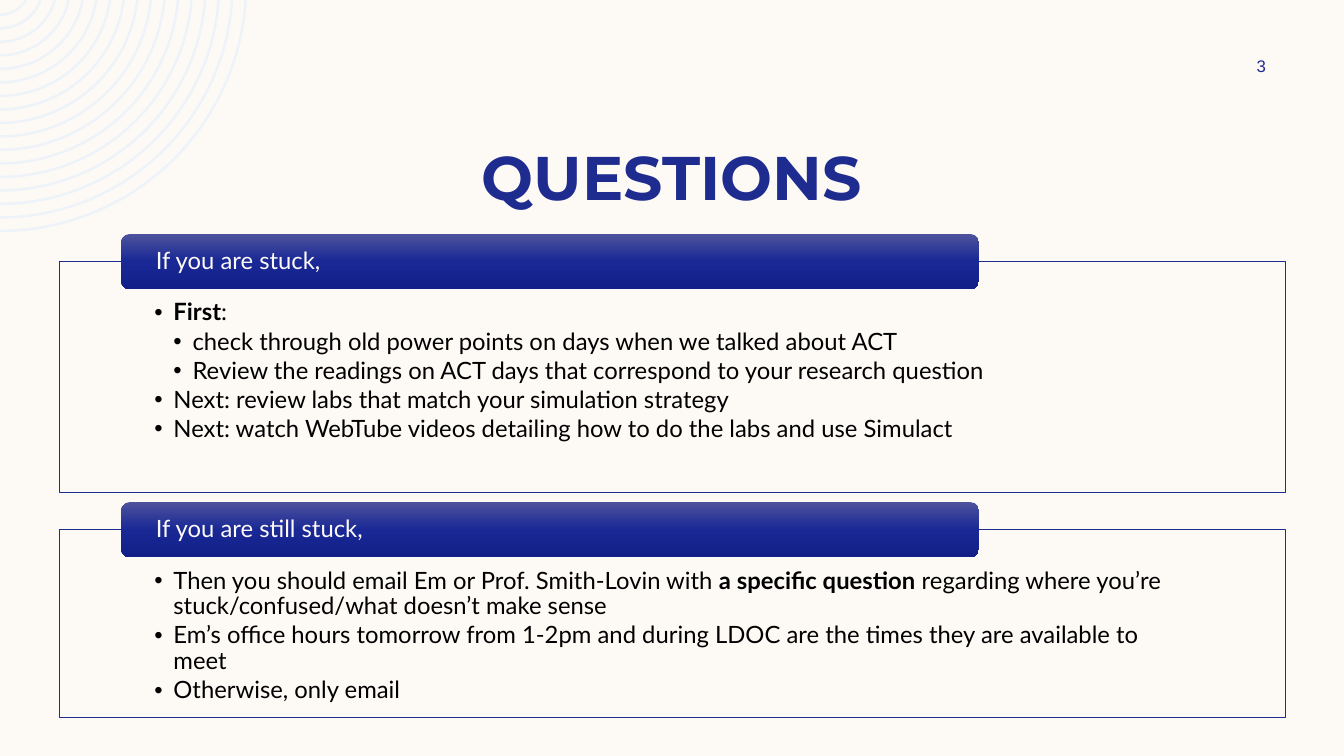
"""Build the slide of advice for students with questions."""
from math import asin, cos, degrees

from lxml.etree import SubElement
from pptx import Presentation
from pptx.dml.color import RGBColor
from pptx.enum.shapes import MSO_SHAPE
from pptx.enum.text import MSO_ANCHOR, PP_ALIGN
from pptx.oxml import parse_xml
from pptx.oxml.ns import nsdecls, qn
from pptx.util import Inches, Pt

CREAM = RGBColor(0xFD, 0xFA, 0xF6)
NAVY = RGBColor(0x1F, 0x2C, 0x8F)
PALE_BLUE = RGBColor(0xEE, 0xF3, 0xFA)
BLACK = RGBColor(0, 0, 0)
BAR_GRADIENT = (
    (0, RGBColor(0x4F, 0x53, 0x9D)),
    (50, RGBColor(0x19, 0x28, 0x95)),
    (100, RGBColor(0x12, 0x1F, 0x89)),
)
BULLET_INDENT = 0.19
UNITS_PER_INCH = 1000

STUCK = [
    (1, [("First", True), (":", False)]),
    (2, [("check through old power points on days when we talked about ACT", False)]),
    (2, [("Review the readings on ACT days that correspond to your research question", False)]),
    (1, [("Next: review labs that match your simulation strategy", False)]),
    (1, [("Next: watch WebTube videos detailing how to do the labs and use Simulact", False)]),
]
STILL_STUCK = [
    (1, [
        ("Then you should email Em or Prof. Smith-Lovin with ", False),
        ("a specific question", True),
        (" regarding where you’re stuck/confused/what doesn’t make sense", False),
    ]),
    (1, [("Em’s office hours tomorrow from 1-2pm and during LDOC are the times "
          "they are available to meet", False)]),
    (1, [("Otherwise, only email", False)]),
]


def set_font(paragraph, name, size, color, bold=False):
    """Set the font shared by all runs of a paragraph."""
    font = paragraph.font
    font.name, font.size, font.bold = name, Pt(size), bold
    font.color.rgb = color


def set_frame(frame, anchor, left=0.1, top=0.05, bottom=0.05):
    """Set wrapping, anchor and margins, with equal sides."""
    frame.word_wrap = True
    frame.vertical_anchor = anchor
    frame.margin_left = frame.margin_right = Inches(left)
    frame.margin_top, frame.margin_bottom = Inches(top), Inches(bottom)


def add_label(slide, box, text, name, size, bold=False):
    """Add one centred navy line of text."""
    frame = slide.shapes.add_textbox(*map(Inches, box)).text_frame
    set_frame(frame, MSO_ANCHOR.MIDDLE)
    paragraph = frame.paragraphs[0]
    paragraph.text = text
    paragraph.alignment = PP_ALIGN.CENTER
    set_font(paragraph, name, size, NAVY, bold)


def bend_segment(segment, radius, start, sweep):
    """Turn a straight outline segment into a circular arc, with angles in degrees."""
    size = str(round(radius))
    arc = SubElement(segment.getparent(), qn("a:arcTo"), wR=size, hR=size,
                     stAng=str(round(start * 60000)), swAng=str(round(sweep * 60000)))
    segment.getparent().replace(segment, arc)


def add_corner_rings(slide, depth=0.15, count=17, smallest=0.31, step=0.134, width=0.025):
    """Add rings around a centre lying the given depth above the top left corner."""
    depth *= UNITS_PER_INCH
    builder = slide.shapes.build_freeform(0, 0, scale=Inches(1) / UNITS_PER_INCH)
    arcs = []
    for index in range(count):
        outer = (smallest + index * step) * UNITS_PER_INCH
        inner = outer - width * UNITS_PER_INCH
        outer_angle, inner_angle = asin(depth / outer), asin(depth / inner)
        builder.move_to(outer * cos(outer_angle), 0)
        builder.add_line_segments(
            [(0, outer - depth), (0, inner - depth), (inner * cos(inner_angle), 0)], close=True
        )
        sweep = 90 - degrees(outer_angle)
        arcs += [(outer, 90 - sweep, sweep), None, (inner, 90, degrees(inner_angle) - 90)]
    rings = builder.convert_to_shape()
    segments = list(rings._element.iter(qn("a:lnTo")))
    for segment, arc in zip(segments, arcs):
        if arc:
            bend_segment(segment, *arc)
    rings.shadow.inherit = False
    rings.fill.solid()
    rings.fill.fore_color.rgb = PALE_BLUE
    rings.line.fill.background()


def add_bullet(paragraph, level):
    """Give a paragraph a hanging bullet at its level."""
    properties = paragraph._p.get_or_add_pPr()
    properties.set("marL", str(Inches(BULLET_INDENT * level)))
    properties.set("indent", str(-Inches(BULLET_INDENT)))
    SubElement(properties, qn("a:buFont"), typeface="Arial")
    SubElement(properties, qn("a:buChar"), char="•")


def add_bar(slide, box, heading):
    """Add a rounded gradient bar with its heading."""
    bar = slide.shapes.add_shape(MSO_SHAPE.ROUNDED_RECTANGLE, *map(Inches, box))
    bar.shadow.inherit = False
    bar.line.fill.background()
    stops = "".join(
        f'<a:gs pos="{position * 1000}"><a:srgbClr val="{color}"/></a:gs>'
        for position, color in BAR_GRADIENT
    )
    gradient = parse_xml(
        f'<a:gradFill {nsdecls("a")} rotWithShape="1"><a:gsLst>{stops}</a:gsLst>'
        '<a:lin ang="5400000" scaled="0"/></a:gradFill>'
    )
    bar._element.spPr.find(qn("a:prstGeom")).addnext(gradient)
    set_frame(bar.text_frame, MSO_ANCHOR.MIDDLE, left=0.32, top=0, bottom=0)
    paragraph = bar.text_frame.paragraphs[0]
    paragraph.text = heading
    paragraph.alignment = PP_ALIGN.LEFT
    paragraph.line_spacing = 0.9
    set_font(paragraph, "Lato", 17, CREAM)


def add_panel(slide, box, heading, items):
    """Add an outlined bullet panel with a bar across its top edge."""
    left, top, width, height = box
    panel = slide.shapes.add_shape(MSO_SHAPE.RECTANGLE, *map(Inches, box))
    panel.shadow.inherit = False
    panel.fill.solid()
    panel.fill.fore_color.rgb = CREAM
    color = panel._element.spPr.find(qn("a:solidFill"))[0]
    SubElement(color, qn("a:alpha"), val="90000")
    panel.line.color.rgb = NAVY
    panel.line.width = Pt(0.5)
    frame = panel.text_frame
    set_frame(frame, MSO_ANCHOR.TOP, left=0.94, top=0.39, bottom=0.13)
    for index, (level, runs) in enumerate(items):
        paragraph = frame.add_paragraph() if index else frame.paragraphs[0]
        paragraph.alignment = PP_ALIGN.LEFT
        paragraph.level = level
        paragraph.line_spacing = 0.9
        paragraph.space_after = Pt(2.5)
        add_bullet(paragraph, level)
        set_font(paragraph, "Lato", 17, BLACK)
        for text, bold in runs:
            run = paragraph.add_run()
            run.text = text
            run.font.bold = bold
    add_bar(slide, (left + 0.61, top - 0.27, width * 0.7, 0.55), heading)


def main():
    """Build and save the presentation."""
    presentation = Presentation()
    presentation.slide_width = Inches(13.33)
    presentation.slide_height = Inches(7.5)
    slide = presentation.slides.add_slide(presentation.slide_layouts[6])
    slide.background.fill.solid()
    slide.background.fill.fore_color.rgb = CREAM
    add_corner_rings(slide)
    add_label(slide, (0.83, 1.32, 11.67, 0.84), "QUESTIONS", "Montserrat", 44, bold=True)
    add_label(slide, (11.97, 0.5, 1.08, 0.3), "3", "Arial", 12)
    add_panel(slide, (0.59, 2.59, 12.16, 2.29), "If you are stuck,", STUCK)
    add_panel(slide, (0.59, 5.25, 12.16, 1.87), "If you are still stuck,", STILL_STUCK)
    presentation.save("out.pptx")


if __name__ == "__main__":
    main()
